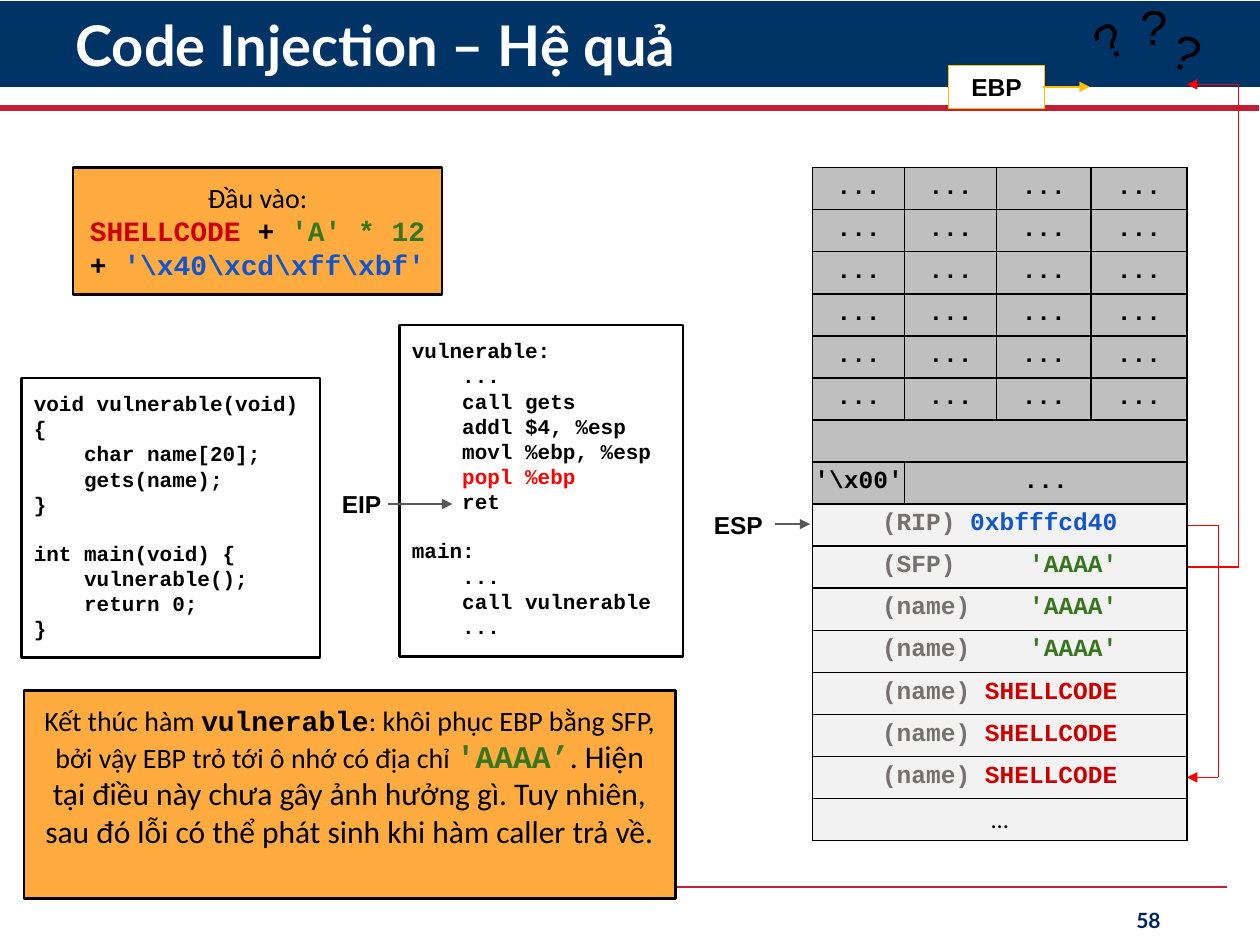
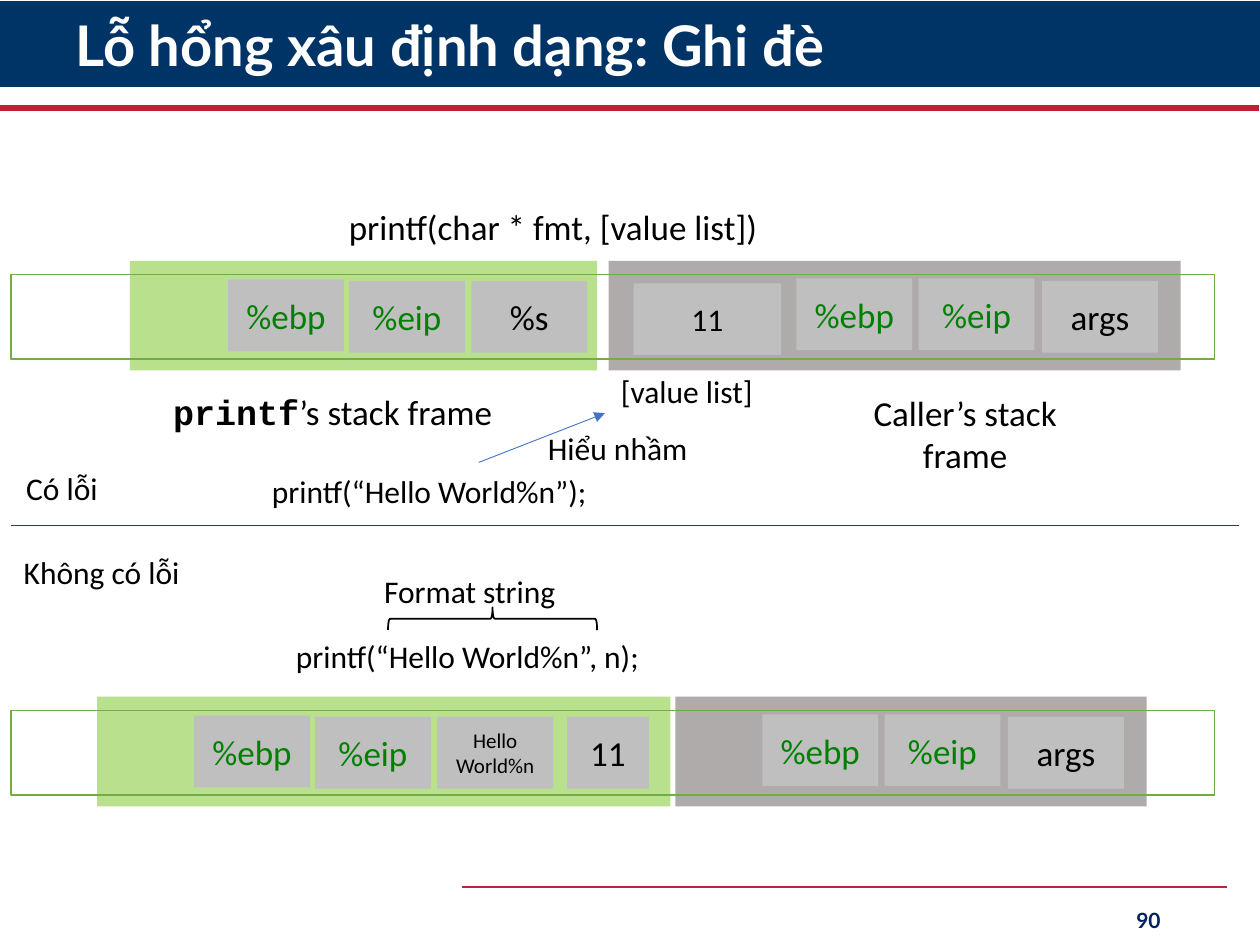
"""Build two lecture slides on code injection and format string overwrites."""
import itertools

import lxml.etree
import pptx
import pptx.dml.color
import pptx.enum.shapes
import pptx.enum.text
import pptx.oxml.ns
import pptx.util

Inches = pptx.util.Inches
Pt = pptx.util.Pt
rgb = pptx.dml.color.RGBColor.from_string
qn = pptx.oxml.ns.qn
SHAPE = pptx.enum.shapes.MSO_SHAPE
LEFT, CENTER, RIGHT = (getattr(pptx.enum.text.PP_ALIGN, side) for side in ("LEFT", "CENTER", "RIGHT"))
TOP, MIDDLE = pptx.enum.text.MSO_ANCHOR.TOP, pptx.enum.text.MSO_ANCHOR.MIDDLE

NAVY, CRIMSON, BLACK, WHITE = "003366", "C02034", "000000", "FFFFFF"
ORANGE, AMBER, SILVER, PALE, TAUPE = "FFAB40", "FFC000", "BFBFBF", "F2F2F2", "AFABAB"
RED, GREEN, BLUE, GRAY = "CC0000", "38761D", "1155CC", "767171"
REGISTER, ARROW, JUMP = "008000", "595959", "F60000"
LIME, LEAF = "92D050", "70AD47"

heading = {"name": "Lato", "size": Pt(32), "bold": True}
page_number = {"name": "Lato", "size": Pt(12), "bold": True}
code = {"name": "Courier New", "size": Pt(12), "bold": True}
stack = {**code, "size": Pt(14)}
payload = {**code, "size": Pt(16)}
emphasis = {**code, "size": Pt(18)}
frame_code = {**code, "size": Pt(20)}
pointer = {"name": "Arial", "size": Pt(14), "bold": True}
doubt = {"name": "Arial", "size": Pt(28), "bold": False}
tiny, small, body, label, large = (
    {"name": "Calibri", "size": Pt(size), "bold": False} for size in (12, 14, 16, 18, 20))


def write(frame, paragraphs, align=LEFT, anchor=TOP, inset=None, spacing=None):
    frame_format = {"word_wrap": True, "vertical_anchor": anchor}
    if inset is not None:
        sides = ("left", "top", "right", "bottom")
        frame_format.update({f"margin_{side}": Inches(inset) for side in sides})
    for key, value in frame_format.items():
        setattr(frame, key, value)
    paragraph, gap = frame.paragraphs[0], None
    for index, runs in enumerate(paragraphs):
        if not runs:
            gap = Pt(13.6)
            continue
        if index:
            paragraph = frame.add_paragraph()
        for key, value in {"alignment": align, "space_before": gap, "line_spacing": spacing}.items():
            setattr(paragraph, key, value)
        gap = None
        for text, style, colour in runs:
            run = paragraph.add_run()
            run.text = text
            for key, value in style.items():
                setattr(run.font, key, value)
            run.font.color.rgb = rgb(colour)


def connect(slide, points, colour, weight, arrow=False):
    for start, end in itertools.pairwise(points):
        segment = slide.shapes.add_connector(
            pptx.enum.shapes.MSO_CONNECTOR.STRAIGHT, *map(Inches, start + end))
        segment.line.color.rgb = rgb(colour)
        segment.line.width = Pt(weight)
        lxml.etree.SubElement(segment._element.spPr, qn("a:effectLst"))
    if arrow:
        lxml.etree.SubElement(segment.line._get_or_add_ln(), qn("a:tailEnd"), type="triangle")


deck = pptx.Presentation()
deck.slide_width, deck.slide_height = Inches(10), Inches(7.5)
injection, overwrite = (deck.slides.add_slide(deck.slide_layouts[6]) for _ in range(2))

# Each entry: slide, place, fill, outline, outline width, paragraphs, text layout
boxes = []
for slide, title, number in [
    (injection, "Code Injection – Hệ quả", "58"),
    (overwrite, "Lỗ hổng xâu định dạng: Ghi đè", "90"),
]:
    boxes += [
        (slide, (0, 0.01, 10, 0.68), NAVY, None, 0, [], {}),
        (slide, (0.5, 0.08, 8.81, 0.61), None, None, 0, [[(title, heading, WHITE)]],
         {"anchor": MIDDLE, "spacing": 0.9}),
        (slide, (7.06, 7.1, 2.25, 0.4), None, None, 0, [[(number, page_number, "002060")]],
         {"align": RIGHT, "anchor": MIDDLE}),
    ]
    connect(slide, [(-0.01, 0.86), (9.99, 0.86)], CRIMSON, 3.5)
    connect(slide, [(3.67, 7.04), (9.74, 7.04)], CRIMSON, 1.5)

c_source = """void vulnerable(void) {
    char name[20];
    gets(name);
}

int main(void) {
    vulnerable();
    return 0;
}"""
assembly = """vulnerable:
    ...
    call gets
    addl $4, %esp
    movl %ebp, %esp
    popl %ebp
    ret

main:
    ...
    call vulnerable
    ..."""
for place, listing in [((0.17, 3, 2.37, 2.22), c_source), ((3.17, 2.58, 2.25, 2.63), assembly)]:
    lines = [[(line, code, "FF0000" if "popl" in line else BLACK)] if line else []
             for line in listing.split("\n")]
    boxes.append((injection, place, WHITE, BLACK, 1.5, lines, {"inset": 0.1}))

attack_input = [
    [("Đầu vào:", body, BLACK)],
    [("SHELLCODE", payload, RED), (" + ", payload, BLACK), ("'A' * 12", payload, GREEN),
     (" + ", payload, BLACK), (r"'\x40\xcd\xff\xbf'", payload, BLUE)],
]
consequence = [[
    ("Kết thúc hàm ", body, BLACK),
    ("vulnerable", payload, BLACK),
    (": khôi phục EBP bằng SFP, bởi vậy EBP trỏ tới ô nhớ có địa chỉ ", body, BLACK),
    ("'AAAA’", emphasis, GREEN),
    (". Hiện tại điều này chưa gây ảnh hưởng gì. Tuy nhiên, sau đó lỗi có thể "
     "phát sinh khi hàm caller trả về.", label, BLACK),
]]
for place, message in [((0.58, 1.33, 2.93, 1.01), attack_input),
                       ((0.19, 5.48, 5.17, 1.65), consequence)]:
    boxes.append((injection, place, ORANGE, BLACK, 1.5, message, {"align": CENTER, "inset": 0.1}))

for register, place, fill, outline in [
    ("EIP", (2.51, 3.83, 0.72, 0.34), None, None),
    ("ESP", (5.57, 4, 0.58, 0.34), None, None),
    ("EBP", (7.53, 0.52, 0.76, 0.34), WHITE, AMBER),
]:
    boxes.append((injection, place, fill, outline, 0.75, [[(register, pointer, BLACK)]],
                  {"align": CENTER, "inset": 0.05}))

for top, shift, callee, caller, own_cells in [
    (2.07, 0, (1.03, 3.71), (4.83, 4.54),
     [(3.74, 0.16, 0.92, "%s", large), (5.03, 0.18, 1.17, "11", label)]),
    (5.53, -0.27, (0.77, 4.55), (5.36, 3.74),
     [(3.47, 0.16, 0.92, "Hello World%n", tiny), (4.5, 0.16, 0.65, "11", large)]),
]:
    for (left, width), fill in [(caller, TAUPE), (callee, LIME)]:
        boxes.append((overwrite, (left, top, width, 0.87), fill, None, 0, [], {}))
    boxes.append((overwrite, (0.09, top + 0.11, 9.55, 0.67), None, LEAF, 1, [], {}))
    saved_cells = [(left + shift, drop, 0.92, text, large) for left, drop, text in [
        (1.81, 0.15, "%ebp"), (2.77, 0.16, "%eip"), (6.32, 0.14, "%ebp"),
        (7.29, 0.14, "%eip"), (8.27, 0.16, "args")]]
    for left, drop, width, text, style in saved_cells + own_cells:
        colour = REGISTER if text in ("%ebp", "%eip") else BLACK
        boxes.append((overwrite, (left, top + drop, width, 0.57), SILVER, None, 0,
                      [[(text, style, colour)]], {"align": CENTER, "anchor": MIDDLE}))

for place, runs, align in [
    ((0.92, 3.05, 3.44, 0.44), [("printf", frame_code, BLACK), ("’s stack frame", large, BLACK)], CENTER),
    ((6.6, 3.06, 2.12, 0.77), [("Caller’s stack frame", large, BLACK)], CENTER),
    ((2.67, 1.58, 4.5, 0.44), [("printf(char * fmt, [value list])", large, BLACK)], LEFT),
    ((4.83, 2.9, 1.57, 0.4), [("[value list]", label, BLACK)], LEFT),
    ((2.06, 3.7, 2.97, 0.4), [("printf(“Hello World%n”);", label, BLACK)], LEFT),
    ((4.25, 3.36, 1.82, 0.4), [("Hiểu nhầm", label, BLACK)], LEFT),
    ((2.25, 5.01, 3.33, 0.4), [("printf(“Hello World%n”, n);", label, BLACK)], LEFT),
    ((2.95, 4.49, 2.97, 0.4), [("Format string", label, BLACK)], LEFT),
    ((0.11, 3.67, 2.97, 0.4), [("Có lỗi", label, BLACK)], LEFT),
    ((0.09, 4.34, 2.97, 0.4), [("Không có lỗi", label, BLACK)], LEFT),
]:
    boxes.append((overwrite, place, None, None, 0, [runs], {"align": align}))

for slide, place, fill, outline, weight, paragraphs, layout in boxes:
    if not fill and not outline:
        write(slide.shapes.add_textbox(*map(Inches, place)).text_frame, paragraphs, **layout)
        continue
    box = slide.shapes.add_shape(SHAPE.RECTANGLE, *map(Inches, place))
    box.shadow.inherit = False
    box.fill.background()
    box.line.fill.background()
    if fill:
        box.fill.solid()
        box.fill.fore_color.rgb = rgb(fill)
    if fill == LIME:
        tint = box._element.spPr.find(qn("a:solidFill"))[0]
        lxml.etree.SubElement(tint, qn("a:alpha"), val="65000")
    if outline:
        box.line.color.rgb = rgb(outline)
        box.line.width = Pt(weight)
    write(box.text_frame, paragraphs, **layout)

for left, top, turn in [(9.25, 0.12, 19.6), (8.54, 0.07, 328.2), (8.95, -0.08, 0)]:
    question = injection.shapes.add_textbox(*map(Inches, (left, top, 0.33, 0.36)))
    write(question.text_frame, [[("?", doubt, BLACK)]], CENTER)
    question.text_frame.auto_size = pptx.enum.text.MSO_AUTO_SIZE.SHAPE_TO_FIT_TEXT
    question.rotation = turn

for slide, points, colour, weight, arrow in [
    (injection, [(3.08, 4), (3.59, 4)], ARROW, 1, True),
    (injection, [(6.15, 4.16), (6.43, 4.16)], ARROW, 1, True),
    (injection, [(8.28, 0.69), (8.65, 0.69)], AMBER, 1, True),
    (injection, [(9.42, 4.5), (9.83, 4.5), (9.83, 0.67), (9.42, 0.67)], JUMP, 1, True),
    (injection, [(9.42, 4.17), (9.67, 4.17), (9.67, 6.17), (9.42, 6.17)], JUMP, 1, True),
    (overwrite, [(3.8, 3.67), (4.8, 3.28)], "4472C4", 0.5, True),
    (overwrite, [(0.09, 4.17), (9.83, 4.17)], "C00000", 1, False),
]:
    connect(slide, points, colour, weight, arrow)

brace = overwrite.shapes.add_shape(SHAPE.RIGHT_BRACE, *map(Inches, (3.82, 4.08, 0.18, 1.66)))
brace.rotation = 270
brace.shadow.inherit = False
brace.fill.background()
brace.line.color.rgb = rgb(BLACK)
brace.line.width = Pt(1)

dots = ("...", BLACK)
memory_rows = [[[dots]] * 4 for _ in range(6)] + [[[]], [[(r"'\x00'", BLACK)], [dots]]]
for tag, value, colour in [
    ("(RIP)", "0xbfffcd40", BLUE), ("(SFP)", "'AAAA'", GREEN),
    *[("(name)", "'AAAA'", GREEN)] * 2, *[("(name)", "SHELLCODE", RED)] * 3,
]:
    memory_rows.append([[(tag, GRAY), ("\t" + value, colour)]])
memory_rows.append([[("…", BLACK)]])

memory = injection.shapes.add_table(
    len(memory_rows), 4, *map(Inches, (6.45, 1.33, 2.98, 5.34))).table
memory.first_row = memory.horz_banding = False
for column, width in zip(memory.columns, (0.73, 0.73, 0.75, 0.76)):
    column.width = Inches(width)
for row, entries in enumerate(memory_rows):
    memory.rows[row].height = Inches(5.34 / len(memory_rows))
    for column in range(4):
        cell = memory.cell(row, column)
        for side in ("a:lnL", "a:lnR", "a:lnT", "a:lnB"):
            border = lxml.etree.SubElement(cell._tc.get_or_add_tcPr(), qn(side), w=str(Pt(1)))
            ink = lxml.etree.SubElement(border, qn("a:solidFill"))
            lxml.etree.SubElement(ink, qn("a:srgbClr"), val=BLACK)
        cell.fill.solid()
        cell.fill.fore_color.rgb = rgb(SILVER if row < 8 else PALE)
        cell.margin_left = cell.margin_right = 0
        if row == 6:
            cell.margin_top = cell.margin_bottom = 0
    for column, entry in enumerate(entries):
        cell = memory.cell(row, column)
        if column == len(entries) - 1 and column < 3:
            cell.merge(memory.cell(row, 3))
        tabbed = len(entry) == 2
        if tabbed:
            cell.margin_left = Inches(0.55)
            properties = cell.text_frame.paragraphs[0]._p.get_or_add_pPr()
            stops = lxml.etree.SubElement(properties, qn("a:tabLst"))
            lxml.etree.SubElement(stops, qn("a:tab"), pos=str(Inches(1.87)), algn="r")
        runs = [(text, small if text == "…" else stack, colour) for text, colour in entry]
        write(cell.text_frame, [runs], LEFT if tabbed else CENTER)

deck.save("out.pptx")
